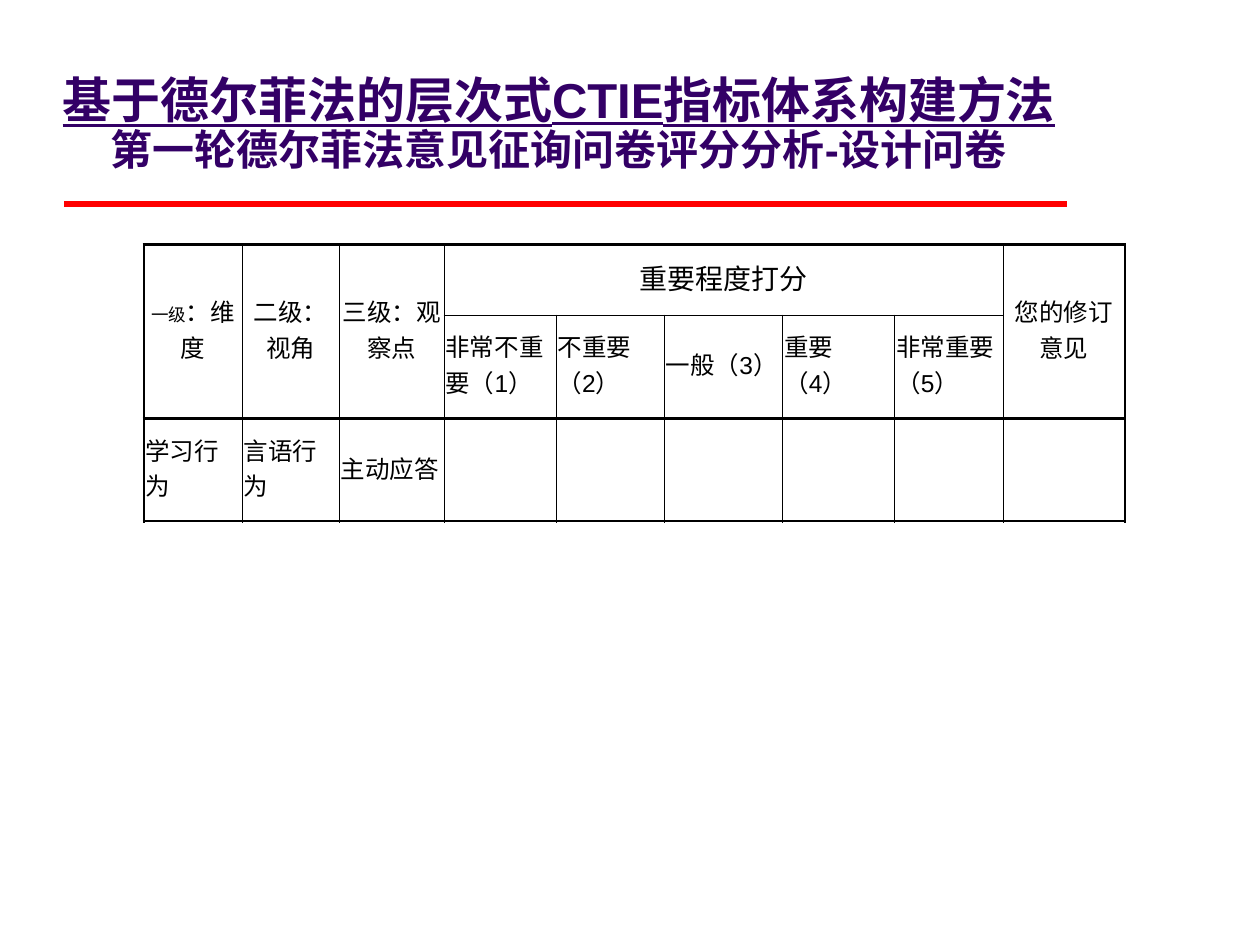
"""Build the questionnaire design slide with its scoring table."""

from dataclasses import dataclass
from itertools import product

from lxml.etree import Element, SubElement
from pptx import Presentation
from pptx.dml.color import RGBColor
from pptx.enum.shapes import MSO_CONNECTOR as Connector
from pptx.enum.text import MSO_ANCHOR as Anchor, MSO_AUTO_SIZE as AutoSize, PP_ALIGN as Align
from pptx.oxml.ns import qn
from pptx.util import Cm, Pt


@dataclass(frozen=True)
class Theme:
    """Colours, font and sizes of the slide."""

    font: str = "Arial"
    title: str = "330066"
    rule: str = "FF0000"
    ink: str = "000000"
    title_size: int = 28
    subtitle_size: int = 24
    group_size: int = 16
    cell_size: int = 14
    small_size: int = 10


@dataclass(frozen=True)
class Entry:
    """A table cell with its text, span and format."""

    row: int
    column: int
    text: str = ""
    rows: int = 1
    columns: int = 1
    size: int = Theme.cell_size
    align: Align = Align.LEFT
    prefix: str = ""


THEME = Theme()
COLUMN_WIDTHS = (1.98, 1.96, 2.11, 2.26, 2.18, 2.39, 2.26, 2.18, 2.46)
ROW_HEIGHTS = (1.42, 2.08, 2.08)
ROW_LINES = (1.5, 0.5, 2, 1.5)
COLUMN_LINES = (1.5, *[0.5] * (len(COLUMN_WIDTHS) - 1), 1.5)
SCORES = ("非常不重要", "不重要", "一般", "重要", "非常重要")
ENTRIES = (
    Entry(0, 0, "：维度", rows=2, align=Align.CENTER, prefix="一级"),
    Entry(0, 1, "二级：视角", rows=2, align=Align.CENTER),
    Entry(0, 2, "三级：观察点", rows=2, align=Align.CENTER),
    Entry(0, 3, "重要程度打分", columns=5, size=THEME.group_size, align=Align.CENTER),
    Entry(0, 8, "您的修订意见", rows=2, align=Align.CENTER),
    *(Entry(1, 2 + score, f"{label}（{score}）") for score, label in enumerate(SCORES, 1)),
    *(Entry(2, column, text) for column, text in enumerate(("学习行为", "言语行为", "主动应答"))),
    *(Entry(2, column) for column in range(3, 9)),
)


def write(paragraph, text: str, *, size: int, color: str = THEME.ink,
          bold: bool = False, underline: bool = False) -> None:
    """Append a formatted run to a paragraph."""
    run = paragraph.add_run()
    run.text = text
    font = run.font
    font.name, font.size, font.bold, font.underline = THEME.font, Pt(size), bold, underline
    font.color.rgb = RGBColor.from_string(color)


def set_borders(cell, widths: dict[str, float]) -> None:
    """Give a cell its left, right, top and bottom lines; zero hides one."""
    properties = cell._tc.get_or_add_tcPr()
    for index, (side, width) in enumerate(widths.items()):
        line = Element(qn(f"a:ln{side}"), w=str(int(Pt(width))))
        if width:
            fill = SubElement(line, qn("a:solidFill"))
            SubElement(fill, qn("a:srgbClr"), val=THEME.ink)
        else:
            SubElement(line, qn("a:noFill"))
        properties.insert(index, line)


def draw_entry(table, entry: Entry) -> None:
    """Fill in one table entry and outline the cells it covers."""
    bottom, right = entry.row + entry.rows, entry.column + entry.columns
    origin = table.cell(entry.row, entry.column)
    if entry.rows * entry.columns > 1:
        origin.merge(table.cell(bottom - 1, right - 1))
    for row, column in product(range(entry.row, bottom), range(entry.column, right)):
        cell = table.cell(row, column)
        cell.fill.background()
        set_borders(cell, {
            "L": COLUMN_LINES[column] if column == entry.column else 0,
            "R": COLUMN_LINES[column + 1] if column + 1 == right else 0,
            "T": ROW_LINES[row] if row == entry.row else 0,
            "B": ROW_LINES[row + 1] if row + 1 == bottom else 0,
        })
    origin.vertical_anchor = Anchor.MIDDLE
    origin.margin_left = origin.margin_right = origin.margin_top = Cm(0.03)
    origin.margin_bottom = Cm(0.13)
    paragraph = origin.text_frame.paragraphs[0]
    paragraph.alignment = entry.align
    if entry.prefix:
        write(paragraph, entry.prefix, size=THEME.small_size)
    if entry.text:
        write(paragraph, entry.text, size=entry.size)


def draw_table(slide) -> None:
    """Add the scoring table."""
    table = slide.shapes.add_table(
        len(ROW_HEIGHTS), len(COLUMN_WIDTHS), Cm(2.9), Cm(4.93),
        Cm(sum(COLUMN_WIDTHS)), Cm(sum(ROW_HEIGHTS))).table
    table.first_row = table.horz_banding = False
    for column, width in zip(table.columns, COLUMN_WIDTHS):
        column.width = Cm(width)
    for row, height in zip(table.rows, ROW_HEIGHTS):
        row.height = Cm(height)
    for entry in ENTRIES:
        draw_entry(table, entry)


def draw_title(slide) -> None:
    """Place the two-line title."""
    title = slide.shapes.title
    title.left, title.top, title.width, title.height = Cm(0.51), Cm(1.5), Cm(21.51), Cm(2.01)
    frame = title.text_frame
    frame.auto_size, frame.word_wrap = AutoSize.NONE, True
    frame.vertical_anchor, frame.margin_bottom = Anchor.BOTTOM, 0
    paragraph = frame.paragraphs[0]
    paragraph.alignment, paragraph.line_spacing = Align.CENTER, 0.9
    write(paragraph, "基于德尔菲法的层次式CTIE指标体系构建方法",
          size=THEME.title_size, color=THEME.title, bold=True, underline=True)
    paragraph.add_line_break()
    write(paragraph, "第一轮德尔菲法意见征询问卷评分分析-设计问卷",
          size=THEME.subtitle_size, color=THEME.title, bold=True)


def draw_rule(slide) -> None:
    """Draw the red rule below the title."""
    rule = slide.shapes.add_connector(Connector.STRAIGHT, Cm(1.3), Cm(4.11), Cm(21.51), Cm(4.11))
    rule.line.color.rgb = RGBColor.from_string(THEME.rule)
    rule.line.width = Pt(3)
    SubElement(rule._element.spPr, qn("a:effectLst"))


def main() -> None:
    """Build and save the presentation."""
    presentation = Presentation()
    presentation.slide_width, presentation.slide_height = Cm(25.4), Cm(19.05)
    slide = presentation.slides.add_slide(presentation.slide_layouts.get_by_name("Title Only"))
    draw_rule(slide)
    draw_title(slide)
    draw_table(slide)
    presentation.save("out.pptx")


if __name__ == "__main__":
    main()
